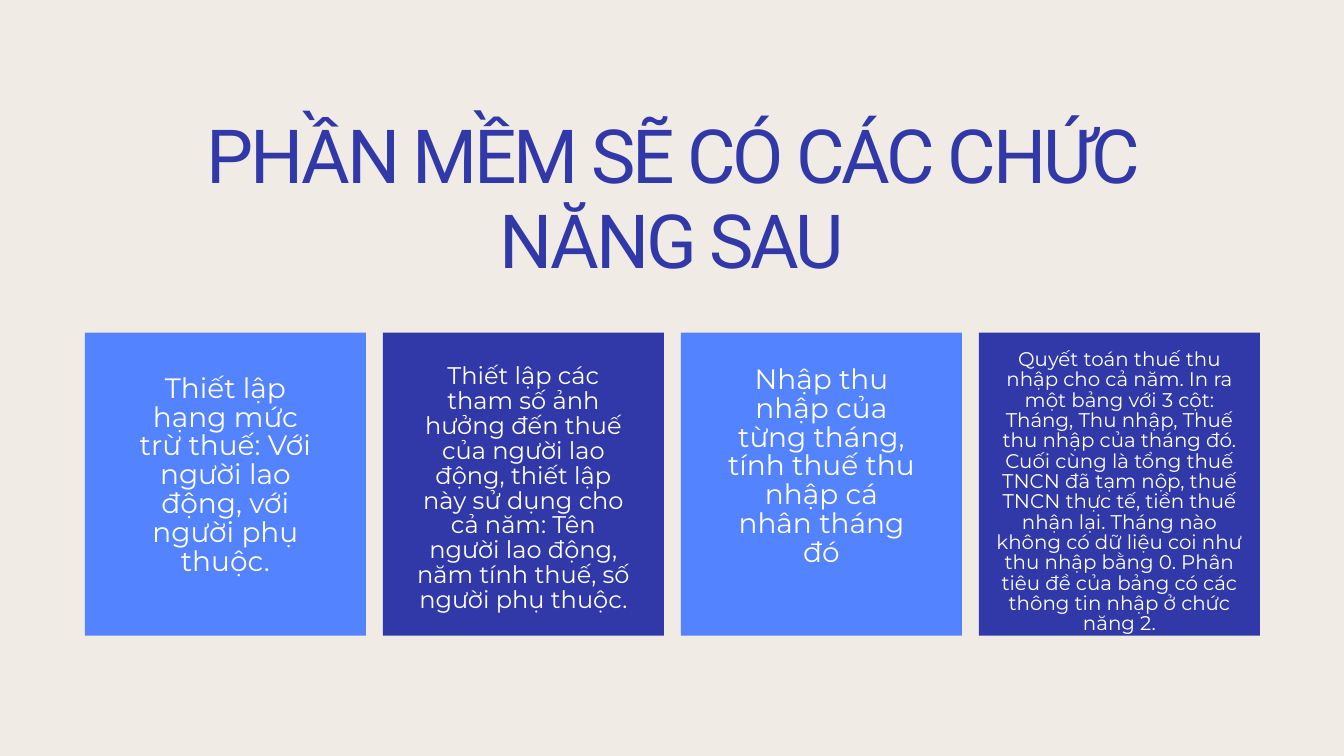
from pptx import Presentation
from pptx.dml.color import RGBColor
from pptx.enum.shapes import MSO_SHAPE
from pptx.enum.text import PP_ALIGN
from pptx.util import Pt

PAPER, SKY, NAVY, WHITE = "F1EBE5", "5383FF", "3139A8", "FFFFFF"

TITLE = "PHẦN MỀM SẼ CÓ CÁC CHỨC NĂNG SAU"
CARDS = [
    dict(fill=SKY, top=401.8, wide=206, tall=246, size=30, lead=30.9,
         text="Thiết lập hạng mức trừ thuế: Với người lao động, "
              "với người phụ thuộc."),
    dict(fill=NAVY, top=391, wide=230.4, tall=290, size=25.8, lead=26.6,
         text="Thiết lập các tham số ảnh hưởng đến thuế của người lao động, "
              "thiết lập này sử dụng cho cả năm: Tên người lao động, "
              "năm tính thuế, số người phụ thuộc."),
    dict(fill=SKY, top=392.4, wide=206, tall=246, size=30, lead=30.9,
         text="Nhập thu nhập của từng tháng, tính thuế thu nhập cá nhân "
              "tháng đó"),
    dict(fill=NAVY, top=375.1, wide=272.2, tall=322, size=21.2, lead=21.8,
         text="Quyết toán thuế thu nhập cho cả năm. In ra một bảng với 3 cột: "
              "Tháng, Thu nhập, Thuế thu nhập của tháng đó. Cuối cùng là tổng "
              "thuế TNCN đã tạm nộp, thuế TNCN thực tế, tiền thuế nhận lại. "
              "Tháng nào không có dữ liệu coi như thu nhập bằng 0. Phân tiêu "
              "đề của bảng có các thông tin nhập ở chức năng 2."),
]
LEFT, TOP, WIDE, TALL, STEP = 91, 356.4, 301, 324.7, 319.3


def paint(fill, hue):
    fill.solid()
    fill.fore_color.rgb = RGBColor.from_string(hue)


def write(slide, text, mid, top, wide, tall, face, size, lead, hue):
    box = slide.shapes.add_textbox(
        Pt(mid - wide / 2), Pt(top), Pt(wide), Pt(tall))
    frame = box.text_frame
    frame.word_wrap = True
    frame.margin_left = frame.margin_right = 0
    frame.margin_top = frame.margin_bottom = 0
    para = frame.paragraphs[0]
    run = para.add_run()
    run.text = text
    para.alignment = PP_ALIGN.CENTER
    para.line_spacing = Pt(lead)
    para.font.name = face
    para.font.size = Pt(size)
    para.font.color.rgb = RGBColor.from_string(hue)
    return run


def main():
    deck = Presentation()
    deck.slide_width, deck.slide_height = Pt(1440), Pt(810)
    slide = deck.slides.add_slide(deck.slide_layouts[6])
    paint(slide.background.fill, PAPER)

    run = write(slide, TITLE, 720, 122.4, 1050, 181.4,
                "Roboto", 80, 90.4, NAVY)
    run._r.get_or_add_rPr().set("spc", "-340")

    for i, card in enumerate(CARDS):
        left = LEFT + i * STEP
        tile = slide.shapes.add_shape(
            MSO_SHAPE.RECTANGLE, Pt(left), Pt(TOP), Pt(WIDE), Pt(TALL))
        tile.shadow.inherit = False
        tile.line.fill.background()
        paint(tile.fill, card["fill"])
        write(slide, card["text"], left + WIDE / 2, card["top"], card["wide"],
              card["tall"], "Montserrat", card["size"], card["lead"], WHITE)

    deck.save("out.pptx")


if __name__ == "__main__":
    main()
